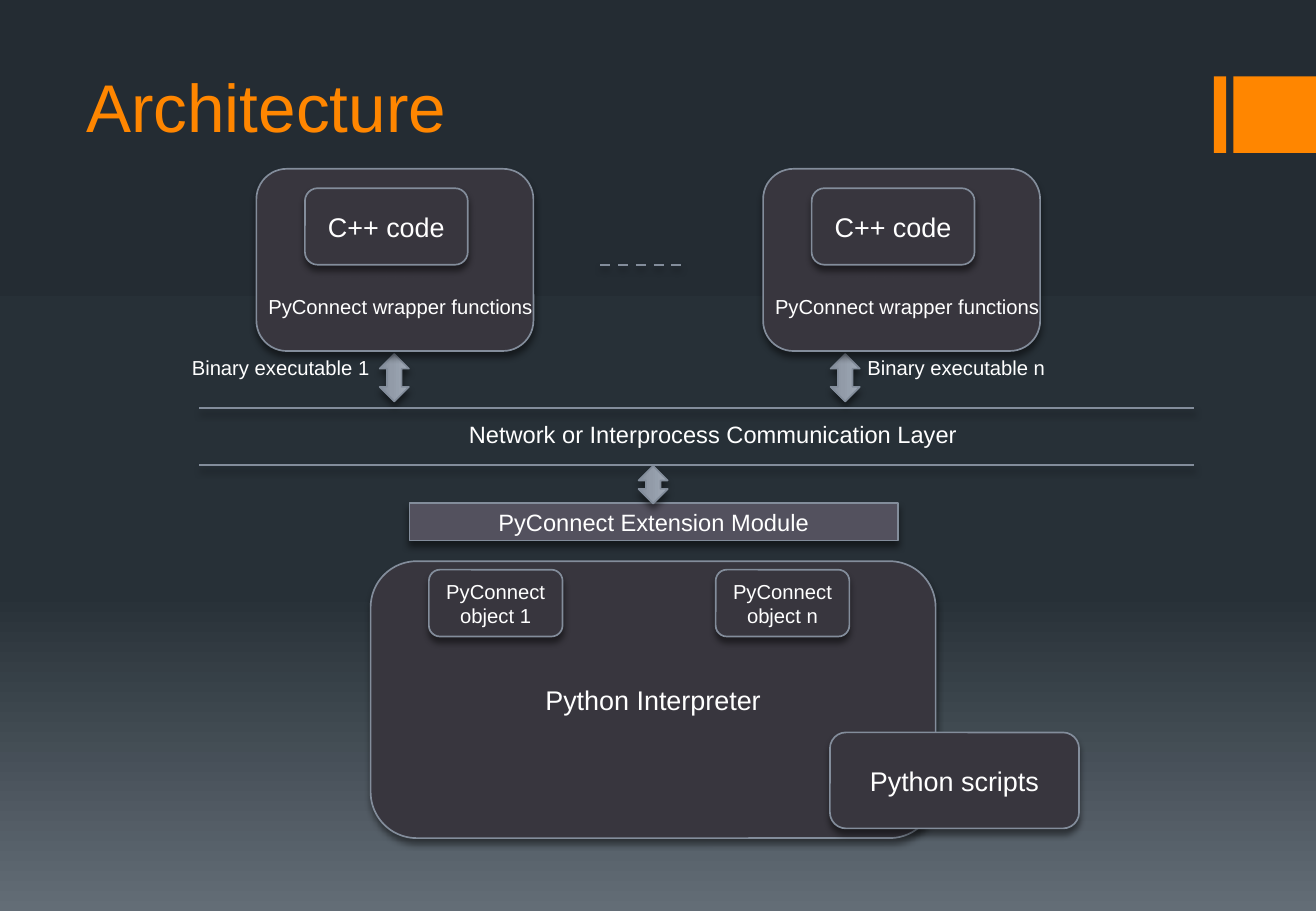
from dataclasses import dataclass

from lxml import etree
from pptx import Presentation
from pptx.dml.color import RGBColor
from pptx.enum.dml import MSO_LINE
from pptx.enum.shapes import MSO_CONNECTOR, MSO_SHAPE
from pptx.enum.text import MSO_ANCHOR, PP_ALIGN
from pptx.oxml.ns import qn
from pptx.util import Inches, Pt

RECT, ROUND = MSO_SHAPE.RECTANGLE, MSO_SHAPE.ROUNDED_RECTANGLE
ARROW, STRAIGHT, DASH = MSO_SHAPE.LEFT_RIGHT_ARROW, MSO_CONNECTOR.STRAIGHT, MSO_LINE.DASH
LEFT, CENTER = PP_ALIGN.LEFT, PP_ALIGN.CENTER
TOP, MIDDLE, BOTTOM = MSO_ANCHOR.TOP, MSO_ANCHOR.MIDDLE, MSO_ANCHOR.BOTTOM
TITLE_ONLY = 5


@dataclass(frozen=True)
class Theme:
    font: str = "Arial"
    accent: str = "FF8600"
    text: str = "FFFFFF"
    box: str = "38363E"
    module: str = "53515E"
    outline: str = "838D9B"
    background: tuple = ((0, "242C33"), (65, "273037"), (100, "636D76"))
    arrow: tuple = ((0, "9FA9B6"), (60, "929BA8"), (100, "838D9B"))
    title: int = 40
    large: int = 16
    medium: int = 14
    small: int = 12


def rgb(color):
    return RGBColor.from_string(color)


def add_color(parent, color):
    return etree.SubElement(parent, qn("a:srgbClr"), val=color)


class Diagram:
    """Holds the theme and the current slide."""

    def __init__(self, slide, theme):
        self.s, self.theme = slide, theme

    def gradient(self, fill, element, stops):
        fill.gradient()
        fill.gradient_angle = 270
        gs_list = element.find(".//" + qn("a:gsLst"))
        for gs in list(gs_list):
            gs_list.remove(gs)
        for pos, color in stops:
            add_color(etree.SubElement(gs_list, qn("a:gs"), pos=str(pos * 1000)), color)

    def background(self):
        self.gradient(self.s.background.fill, self.s.element, self.theme.background)

    def shadow(self, sp, opacity):
        effects = etree.SubElement(sp.element.spPr, qn("a:effectLst"))
        shadow = etree.SubElement(effects, qn("a:outerShdw"), blurRad=str(Pt(4)),
                                  dist=str(Pt(3)), dir="5400000", rotWithShape="0")
        etree.SubElement(add_color(shadow, "000000"), qn("a:alpha"), val=str(opacity * 1000))

    def add_text(self, sp, text, size, color=None, align=CENTER, anchor=MIDDLE, wrap=True):
        tf = sp.text_frame
        tf.word_wrap, tf.vertical_anchor = wrap, anchor
        p = tf.paragraphs[0]
        p.alignment = align
        r = p.add_run()
        r.text = text
        for name, value in {"name": self.theme.font, "size": Pt(size)}.items():
            setattr(r.font, name, value)
        r.font.color.rgb = rgb(color or self.theme.text)

    def title(self, text, x, y, w, h):
        sp = self.s.shapes.title
        for name, value in {"left": x, "top": y, "width": w, "height": h}.items():
            setattr(sp, name, Inches(value))
        self.add_text(sp, text, self.theme.title, self.theme.accent, LEFT, BOTTOM)

    def shape(self, kind, x, y, w, h):
        return self.s.shapes.add_shape(kind, Inches(x), Inches(y), Inches(w), Inches(h))

    def bar(self, x, y, w, h):
        sp = self.shape(RECT, x, y, w, h)
        sp.fill.solid()
        sp.fill.fore_color.rgb = rgb(self.theme.accent)
        sp.line.fill.background()
        sp.shadow.inherit = False

    def outline(self, sp, width, opacity):
        sp.line.color.rgb = rgb(self.theme.outline)
        sp.line.width = Pt(width)
        self.shadow(sp, opacity)

    def box(self, x, y, w, h, text=None, size=None, kind=ROUND, color=None):
        sp = self.shape(kind, x, y, w, h)
        sp.fill.solid()
        sp.fill.fore_color.rgb = rgb(color or self.theme.box)
        self.outline(sp, 1, 48)
        if text:
            self.add_text(sp, text, size or self.theme.large)

    def arrow(self, x, y, length):
        sp = self.shape(ARROW, x, y, length, 0.24)
        sp.rotation = 90
        self.gradient(sp.fill, sp.element, self.theme.arrow)
        self.outline(sp, 1, 48)

    def line(self, x1, x2, y, dash=None):
        c = self.s.shapes.add_connector(STRAIGHT, Inches(x1), Inches(y), Inches(x2), Inches(y))
        if dash:
            c.line.dash_style = dash
        self.outline(c, 1.5, 28)

    def label(self, text, x, y, w, h, size):
        sp = self.s.shapes.add_textbox(Inches(x), Inches(y), Inches(w), Inches(h))
        self.add_text(sp, text, size, align=LEFT, anchor=TOP, wrap=False)


prs = Presentation()
prs.slide_width, prs.slide_height = Inches(10.83), Inches(7.5)
theme = Theme()
d = Diagram(prs.slides.add_slide(prs.slide_layouts[TITLE_ONLY]), theme)

# Background, accent bars and title
d.background()
for x, w in ((9.99, 0.1), (10.15, 0.68)):
    d.bar(x, 0.63, w, 0.63)
d.title("Architecture", 0.61, 0.33, 7.58, 0.92)

# Binary executables, each with its link to the communication layer
for number, x, arrow_x, label_x in (("1", 2.11, 3.05, 1.48), ("n", 6.28, 6.76, 7.04)):
    d.arrow(arrow_x, 2.99, 0.39)
    d.box(x, 1.39, 2.28, 1.5)
    d.box(x + 0.4, 1.55, 1.34, 0.63, "C++ code")
    d.label("PyConnect wrapper functions", x, 2.37, 2.4, 0.3, theme.small)
    d.label(f"Binary executable {number}", label_x, 2.88, 1.68, 0.3, theme.small)
d.line(4.94, 5.65, 2.18, DASH)

# Communication layer
for y in (3.36, 3.83):
    d.line(1.64, 9.83, y)
d.label("Network or Interprocess Communication Layer", 3.76, 3.41, 4.26, 0.34, theme.medium)

# Python side
d.box(3.05, 4.62, 4.65, 2.28, "Python Interpreter")
d.box(3.37, 4.14, 4.02, 0.31, "PyConnect Extension Module", theme.medium, RECT, theme.module)
d.arrow(5.22, 3.87, 0.31)
for number, x in (("1", 3.53), ("n", 5.89)):
    d.box(x, 4.69, 1.1, 0.55, f"PyConnect object {number}", theme.small)
d.box(6.83, 6.03, 2.05, 0.79, "Python scripts")

prs.save("out.pptx")
